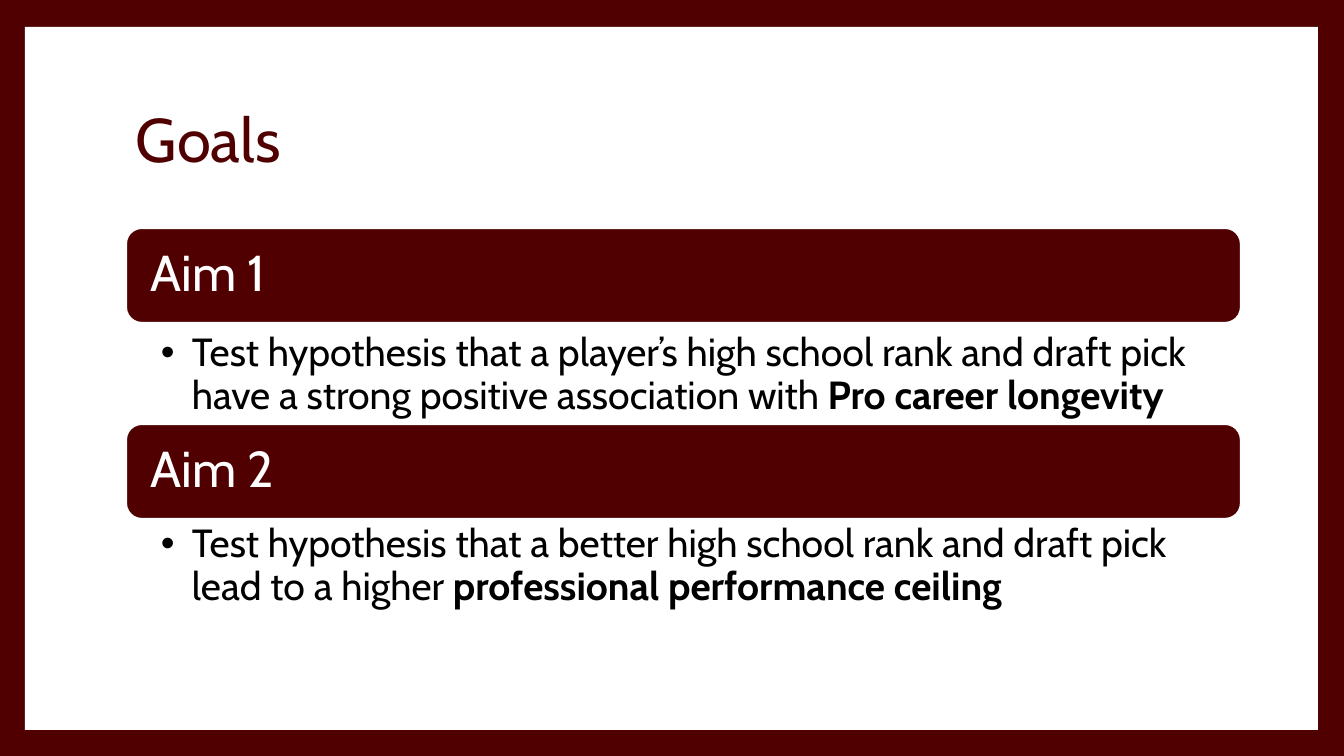
from pptx import Presentation
from pptx.dml.color import RGBColor
from pptx.enum.shapes import MSO_SHAPE
from pptx.enum.text import MSO_ANCHOR, PP_ALIGN
from pptx.oxml.ns import qn
from pptx.util import Emu, Pt
from lxml.etree import SubElement

COLORS = {"maroon": "500000", "white": "FFFFFF", "black": "000000"}
AIMS = [
    ("Aim 1", 328,
     "Test hypothesis that a player’s high school rank and draft pick "
     "have a strong positive association with ", "Pro career longevity"),
    ("Aim 2", 519,
     "Test hypothesis that a better high school rank and draft pick "
     "lead to a higher ", "professional performance ceiling"),
]
LEFT, WIDTH = 126, 1115
TOP, PITCH = 228, 196


def px(n):
    return Emu(round(n * 914400 / 100.8))


def color(name):
    return RGBColor.from_string(COLORS[name])


def write(frame, *parts, size, ink, font="Cabin", anchor=MSO_ANCHOR.MIDDLE,
          pad=(10, 5, 10, 5), bullet=None):
    frame.word_wrap = True
    frame.vertical_anchor = anchor
    (frame.margin_left, frame.margin_top,
     frame.margin_right, frame.margin_bottom) = map(px, pad)
    para = frame.paragraphs[0]
    para.alignment = PP_ALIGN.LEFT
    para.line_spacing = 0.9
    if bullet:
        props = para._p.get_or_add_pPr()
        props.set("marL", str(px(31)))
        props.set("indent", str(px(-31)))
        SubElement(props, qn("a:buFont")).set("typeface", "Arial")
        SubElement(props, qn("a:buChar")).set("char", bullet)
    for order, part in enumerate(parts):
        run = para.add_run()
        run.text = part
        run.font.name = font
        run.font.size = Pt(size)
        run.font.bold = order > 0
        run.font.color.rgb = color(ink)


class Deck:
    def __init__(self):
        self.file = Presentation()
        self.file.slide_width, self.file.slide_height = px(1344), px(756)
        self.slide = self.file.slides.add_slide(self.file.slide_layouts[5])
        fill = self.slide.background.fill
        fill.solid()
        fill.fore_color.rgb = color("maroon")

    def block(self, kind, box, fill, line=None):
        shape = self.slide.shapes.add_shape(kind, *map(px, box))
        shape.shadow.inherit = False
        shape.fill.solid()
        shape.fill.fore_color.rgb = color(fill)
        if line:
            shape.line.color.rgb = color(line)
            shape.line.width = Pt(1.5)
        else:
            shape.line.fill.background()
        return shape

    def panel(self, box):
        shape = self.block(MSO_SHAPE.RECTANGLE, box, "white")
        self.slide.shapes._spTree.insert(2, shape._element)

    def title(self, text, box):
        shape = self.slide.shapes.title
        shape.left, shape.top, shape.width, shape.height = map(px, box)
        write(shape.text_frame, text, size=44, ink="maroon")

    def banner(self, text, box):
        shape = self.block(MSO_SHAPE.ROUNDED_RECTANGLE, box, "maroon", "white")
        write(shape.text_frame, text, size=36, ink="white",
              pad=(20, 15, 20, 15))

    def point(self, parts, box):
        shape = self.slide.shapes.add_textbox(*map(px, box))
        write(shape.text_frame, *parts, size=28, ink="black",
              anchor=MSO_ANCHOR.TOP, pad=(35, 5, 28, 5), bullet="•")


def main():
    deck = Deck()
    deck.panel((25, 27, 1293, 703))
    deck.title("Goals", (LEFT, 68, 1089, 149))
    for row, (name, top, plain, strong) in enumerate(AIMS):
        deck.banner(name, (LEFT, TOP + row * PITCH, WIDTH, 95))
        deck.point((plain, strong), (LEFT, top, WIDTH, 97))
    deck.file.save("out.pptx")


if __name__ == "__main__":
    main()
